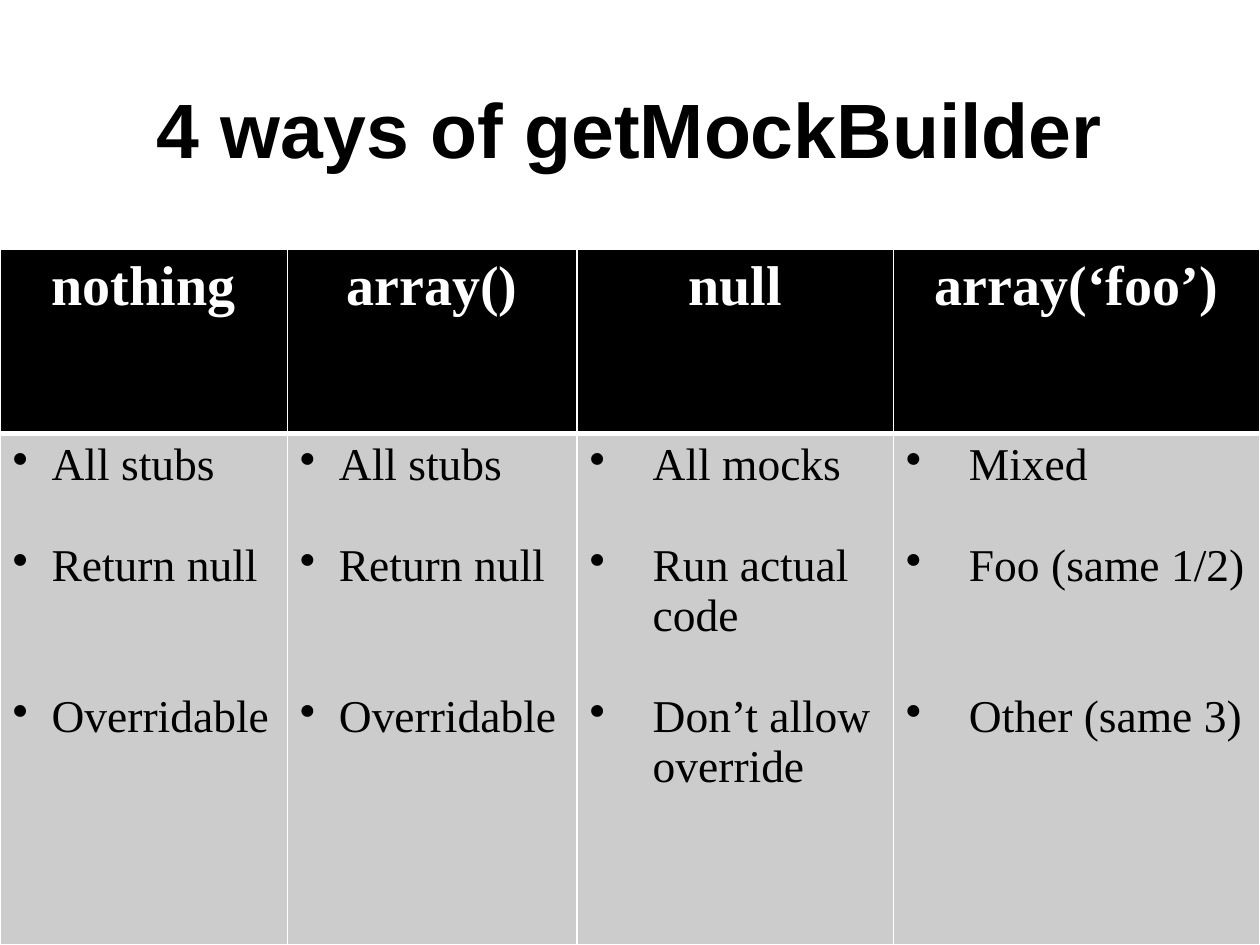
import pptx
import pptx.util
import pptx.dml.color
import pptx.enum.text
import pptx.oxml
import pptx.oxml.ns
import lxml.etree

Inches, Pt = pptx.util.Inches, pptx.util.Pt
RGBColor = pptx.dml.color.RGBColor
CENTER = pptx.enum.text.PP_ALIGN.CENTER
BLACK = RGBColor(0x00, 0x00, 0x00)
WHITE = RGBColor(0xFF, 0xFF, 0xFF)
GRAY = RGBColor(0xCC, 0xCC, 0xCC)
LINE = 28.8  # height of one body line in points


def style(para, face, size, color, bold):
    font = para.font
    font.name, font.size, font.bold = face, Pt(size), bold
    font.color.rgb = color


def paint(cell, fill, below):
    """Fill a cell and give it white borders, the lower one `below` points wide."""
    cell.fill.solid()
    cell.fill.fore_color.rgb = fill
    props = cell._tc.get_or_add_tcPr()
    widths = {"lnL": 1, "lnR": 1, "lnT": 1, "lnB": below}
    for spot, (side, width) in enumerate(widths.items()):
        props.insert(spot, pptx.oxml.parse_xml(
            f'<a:{side} {pptx.oxml.ns.nsdecls("a")} w="{Pt(width)}">'
            f'<a:solidFill><a:srgbClr val="{WHITE}"/></a:solidFill></a:{side}>'))


deck = pptx.Presentation()
deck.slide_width, deck.slide_height = Inches(10), Inches(7.5)
slide = deck.slides.add_slide(deck.slide_layouts[6])

# Title
box = slide.shapes.add_textbox(Inches(0.5), Inches(0.61), Inches(9), Inches(0.81))
frame = box.text_frame
frame.word_wrap = True
frame.vertical_anchor = pptx.enum.text.MSO_ANCHOR.MIDDLE
title = frame.paragraphs[0]
title.text = "4 ways of getMockBuilder"
title.alignment = CENTER
style(title, "Arial", 44, BLACK, True)

# Columns: width, bullet indent, heading, items with the lines left free above
stubs = [("All stubs", 0), ("Return null", 1), ("Overridable", 2)]
columns = [
    (2.28, 0.31, "nothing", stubs),
    (2.3, 0.31, "array()", stubs),
    (2.51, 0.5, "null",
     [("All mocks", 0), ("Run actual code", 1), ("Don’t allow override", 1)]),
    (2.91, 0.5, "array(‘foo’)",
     [("Mixed", 0), ("Foo (same 1/2)", 1), ("Other (same 3)", 2)]),
]

# Table
table = slide.shapes.add_table(
    2, len(columns), Inches(0), Inches(1.98), Inches(10), Inches(5.52)).table
table.rows[0].height = Inches(1.46)
table.rows[1].height = Inches(4.06)

for col, (width, indent, heading, items) in enumerate(columns):
    table.columns[col].width = Inches(width)

    # Heading
    head = table.cell(0, col)
    paint(head, BLACK, 3)
    para = head.text_frame.paragraphs[0]
    para.text = heading
    para.alignment = CENTER
    style(para, "Times New Roman", 32, WHITE, True)

    # Bulleted items
    body = table.cell(1, col)
    paint(body, GRAY, 1)
    for row, (text, gap) in enumerate(items):
        frame = body.text_frame
        para = frame.add_paragraph() if row else frame.paragraphs[0]
        para.text = text
        para.space_before = Pt(gap * LINE)
        props = para._p.get_or_add_pPr()
        props.set("marL", str(Inches(indent)))
        props.set("indent", str(-Inches(indent)))
        mark = lxml.etree.SubElement(props, pptx.oxml.ns.qn("a:buChar"))
        mark.set("char", "•")
        style(para, "Times New Roman", 26, BLACK, False)

deck.save("out.pptx")
